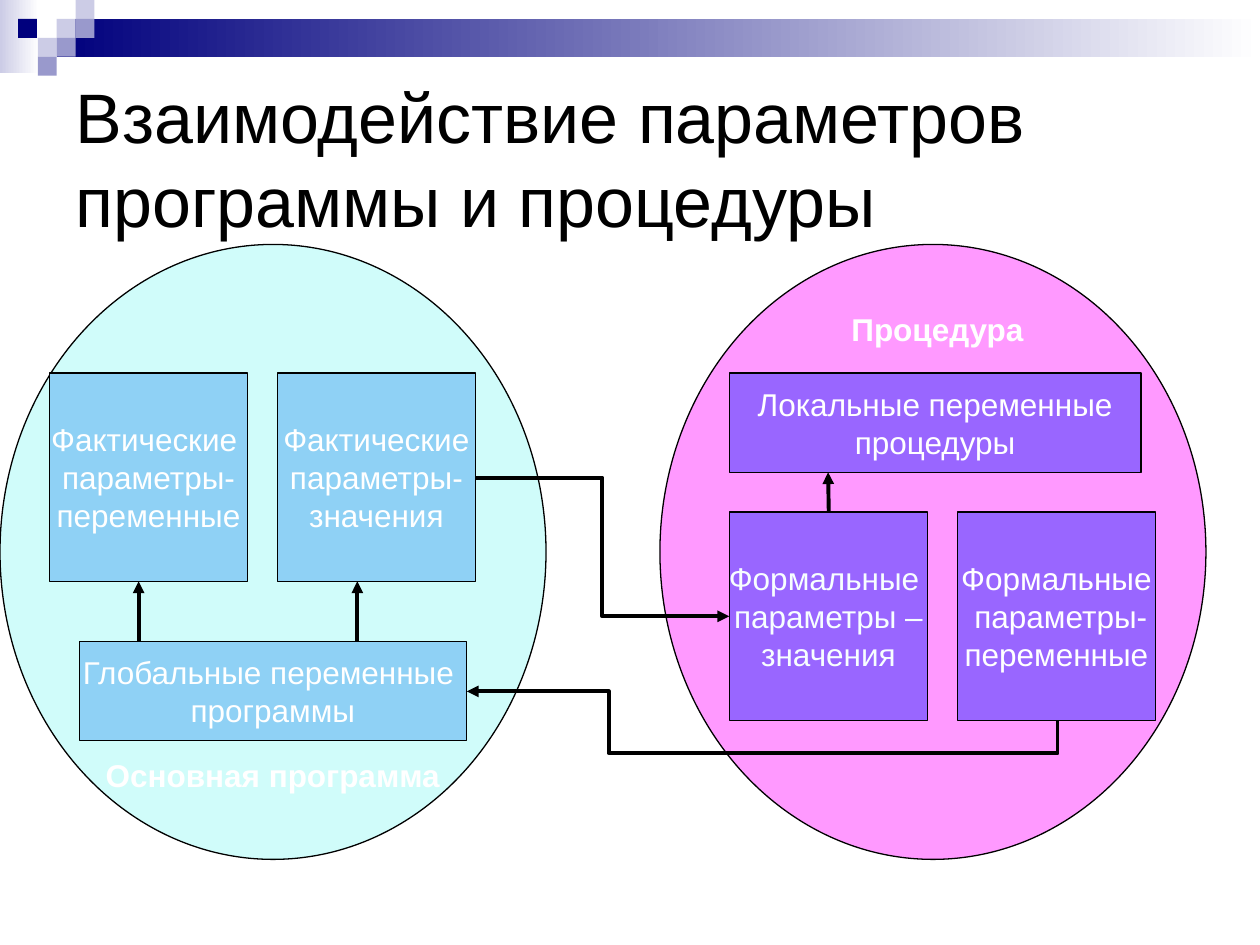
from dataclasses import dataclass

from lxml import etree
from pptx import Presentation
from pptx import util as u
from pptx.dml.color import RGBColor
from pptx.enum import shapes, text
from pptx.oxml import ns

Pt = u.Pt

FONT = "Arial"
BLACK = RGBColor(0x00, 0x00, 0x00)
WHITE = RGBColor(0xFF, 0xFF, 0xFF)
ICE = RGBColor(0xF7, 0xFE, 0xFF)
NAVY = RGBColor(0x00, 0x00, 0x7D)
LAVENDER = RGBColor(0xCC, 0xCC, 0xE6)
PERIWINKLE = RGBColor(0x99, 0x99, 0xCC)
AQUA = RGBColor(0xD0, 0xFC, 0xFA)
PINK = RGBColor(0xFF, 0x99, 0xFF)
SKY = RGBColor(0x8F, 0xD1, 0xF5)
VIOLET = RGBColor(0x99, 0x66, 0xFF)

TILE = 10.8
BOX_WIDTH, BOX_HEIGHT, BAR_HEIGHT = 113.4, 119, 56.7
PROGRAM_TOP, PROCEDURE_TOP = 213.2, 292.6
GLOBAL_TOP = 366.6


@dataclass(frozen=True)
class Area:
    left: float
    top: float
    width: float
    height: float

    def lengths(self) -> list[u.Length]:
        return [Pt(value) for value in (self.left, self.top, self.width, self.height)]


@dataclass(frozen=True)
class Box:
    area: Area
    fill: RGBColor
    label: str
    color: RGBColor = WHITE


@dataclass(frozen=True)
class Arrow:
    start: tuple[float, float]
    end: tuple[float, float]
    kind: shapes.MSO_CONNECTOR = shapes.MSO_CONNECTOR.STRAIGHT


@dataclass(frozen=True)
class Caption:
    area: Area
    label: str


BANDS = [
    (Area(0, 0, 22.3, 41.8), LAVENDER),
    (Area(32.4, TILE, 687.6, 21.6), NAVY),
]
TILES = [
    (32.4, 1, LAVENDER),
    (43.2, 0, LAVENDER),
    (43.2, 1, PERIWINKLE),
    (21.6, 2, LAVENDER),
    (10.3, 1, NAVY),
    (32.4, 2, PERIWINKLE),
    (21.6, 3, PERIWINKLE),
]
OVALS = [
    (Area(0, 139.7, 312, 351.4), AQUA),
    (Area(377.1, 139.7, 312, 351.4), PINK),
]
BOXES = [
    Box(Area(45.4, GLOBAL_TOP, 221.1, BAR_HEIGHT), SKY,
        "Глобальные переменные \vпрограммы"),
    Box(Area(416.7, PROGRAM_TOP, 235.4, BAR_HEIGHT), VIOLET,
        "Локальные переменные\vпроцедуры"),
    Box(Area(158.4, PROGRAM_TOP, BOX_WIDTH, BOX_HEIGHT), SKY,
        "Фактические\vпараметры-\vзначения"),
    Box(Area(416.7, PROCEDURE_TOP, BOX_WIDTH, BOX_HEIGHT), VIOLET,
        "Формальные \vпараметры –\vзначения", ICE),
    Box(Area(547, PROCEDURE_TOP, BOX_WIDTH, BOX_HEIGHT), VIOLET,
        "Формальные\v параметры-\vпеременные"),
    Box(Area(28.2, PROGRAM_TOP, BOX_WIDTH, BOX_HEIGHT), SKY,
        "Фактические \vпараметры-\vпеременные"),
]
ARROWS = [
    Arrow((79.2, GLOBAL_TOP), (79.2, PROGRAM_TOP + BOX_HEIGHT)),
    Arrow((204.2, GLOBAL_TOP), (204.2, PROGRAM_TOP + BOX_HEIGHT)),
    Arrow((473.6, PROCEDURE_TOP), (473.2, PROGRAM_TOP + BAR_HEIGHT)),
    Arrow((271.8, 273), (416.7, 352.2), shapes.MSO_CONNECTOR.ELBOW),
]
RETURN_ARROW = Arrow((427, 572.4), (444.1, 234.9), shapes.MSO_CONNECTOR.ELBOW)
CAPTIONS = [
    Caption(Area(42.5, 428.6, 226.8, 29), "Основная программа"),
    Caption(Area(445, 173.6, 181.4, 29), "Процедура"),
]


def add_filled(slide, kind, area: Area, color: RGBColor, outlined: bool = False):
    shape = slide.shapes.add_shape(kind, *area.lengths())
    shape.shadow.inherit = False
    shape.fill.solid()
    shape.fill.fore_color.rgb = color
    if outlined:
        shape.line.color.rgb = BLACK
        shape.line.width = Pt(0.75)
    else:
        shape.line.fill.background()
    return shape


def add_band(slide, area: Area, color: RGBColor) -> None:
    shape = add_filled(slide, shapes.MSO_SHAPE.RECTANGLE, area, color)
    shape.fill.gradient()
    shape.fill.gradient_angle = 0
    for stop, stop_color, position in zip(shape.fill.gradient_stops, (color, WHITE), (0, 1)):
        stop.color.rgb = stop_color
        stop.position = position


def format_runs(text_frame, size: float, color: RGBColor, bold: bool = False) -> None:
    for paragraph in text_frame.paragraphs:
        for run in paragraph.runs:
            run.font.name = FONT
            run.font.size = Pt(size)
            run.font.bold = bold
            run.font.color.rgb = color


def add_box(slide, box: Box) -> None:
    shape = add_filled(slide, shapes.MSO_SHAPE.RECTANGLE, box.area, box.fill, outlined=True)
    text_frame = shape.text_frame
    text_frame.word_wrap = False
    text_frame.vertical_anchor = text.MSO_ANCHOR.MIDDLE
    text_frame.text = box.label
    text_frame.paragraphs[0].alignment = text.PP_ALIGN.CENTER
    format_runs(text_frame, 18, box.color)


def add_arrow(slide, arrow: Arrow):
    points = [Pt(value) for value in arrow.start + arrow.end]
    connector = slide.shapes.add_connector(arrow.kind, *points)
    connector.line.color.rgb = BLACK
    connector.line.width = Pt(2.25)
    etree.SubElement(connector.line._get_or_add_ln(), ns.qn("a:tailEnd"), type="triangle")
    etree.SubElement(connector._element.spPr, ns.qn("a:effectLst"))
    return connector


def add_return_arrow(slide, arrow: Arrow) -> None:
    properties = add_arrow(slide, arrow)._element.spPr
    properties.find(ns.qn("a:xfrm")).set("rot", str(270 * 60000))
    geometry = properties.find(ns.qn("a:prstGeom"))
    geometry.set("prst", "bentConnector4")
    for child in list(geometry):
        geometry.remove(child)
    adjustments = etree.SubElement(geometry, ns.qn("a:avLst"))
    for name, value in (("adj1", -106500), ("adj2", 76000)):
        etree.SubElement(adjustments, ns.qn("a:gd"), name=name, fmla=f"val {value}")


def add_caption(slide, caption: Caption) -> None:
    text_frame = slide.shapes.add_textbox(*caption.area.lengths()).text_frame
    text_frame.word_wrap = True
    text_frame.text = caption.label
    paragraph = text_frame.paragraphs[0]
    paragraph.alignment = text.PP_ALIGN.CENTER
    paragraph.space_before = Pt(11.2)
    format_runs(text_frame, 18, WHITE, bold=True)


def set_title(slide) -> None:
    title = slide.shapes.title
    title.left, title.top, title.width, title.height = Area(36, 36, 648, 108).lengths()
    text_frame = title.text_frame
    text_frame.text = "Взаимодействие параметров программы и процедуры"
    text_frame.word_wrap = True
    text_frame.auto_size = text.MSO_AUTO_SIZE.NONE
    text_frame.vertical_anchor = text.MSO_ANCHOR.MIDDLE
    text_frame.paragraphs[0].alignment = text.PP_ALIGN.LEFT
    format_runs(text_frame, 40, BLACK)


def main() -> None:
    presentation = Presentation()
    presentation.slide_width, presentation.slide_height = Pt(720), Pt(540)
    slide = presentation.slides.add_slide(presentation.slide_layouts[5])
    set_title(slide)
    for area, color in BANDS:
        add_band(slide, area, color)
    for left, row, color in TILES:
        add_filled(slide, shapes.MSO_SHAPE.RECTANGLE, Area(left, row * TILE, TILE, TILE), color)
    for area, color in OVALS:
        add_filled(slide, shapes.MSO_SHAPE.OVAL, area, color, outlined=True)
    for box in BOXES:
        add_box(slide, box)
    for arrow in ARROWS:
        add_arrow(slide, arrow)
    add_return_arrow(slide, RETURN_ARROW)
    for caption in CAPTIONS:
        add_caption(slide, caption)
    presentation.save("out.pptx")


if __name__ == "__main__":
    main()
